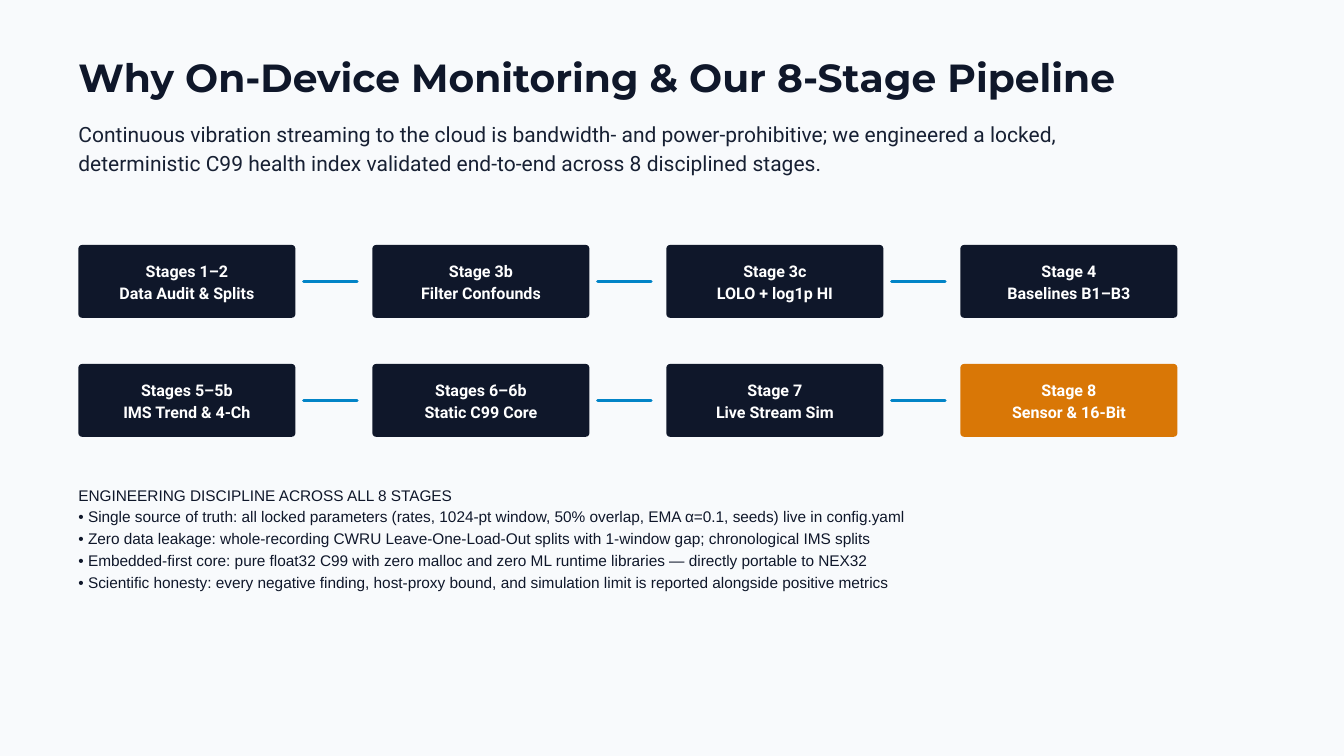
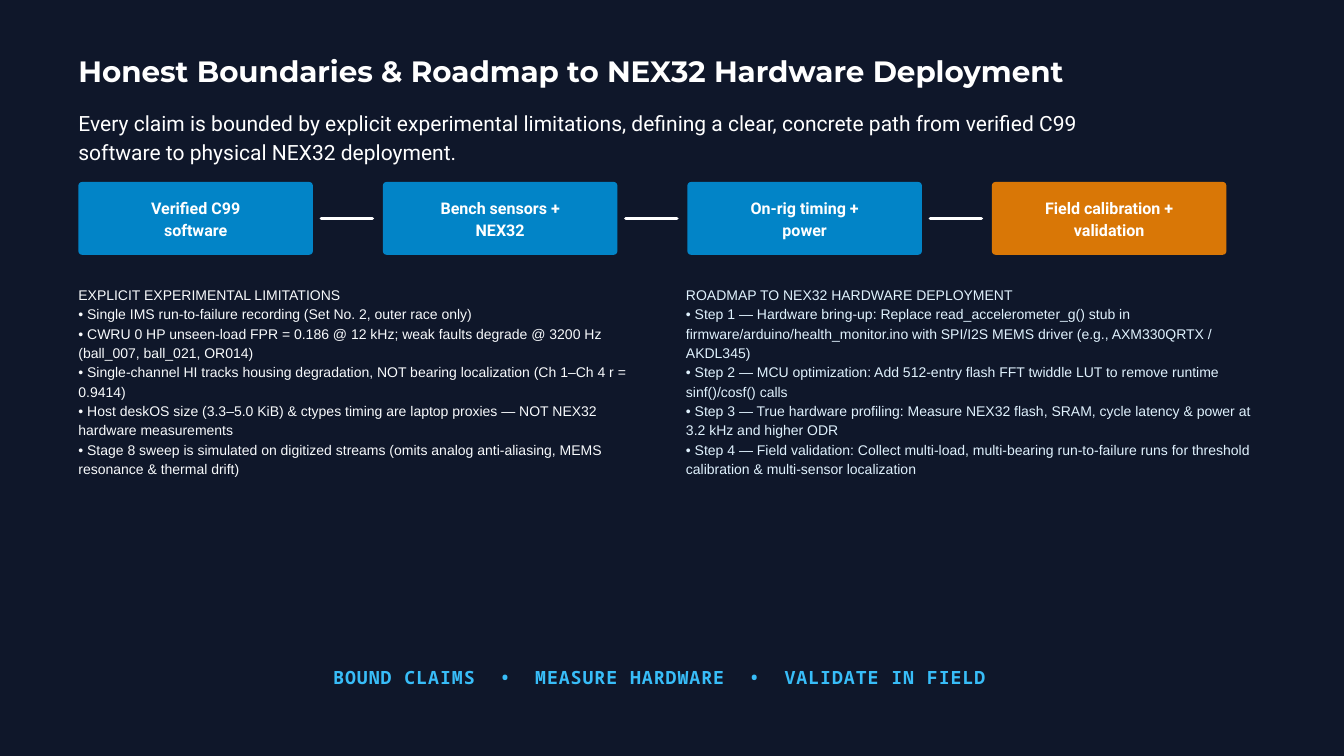
from lxml import etree
from pptx import Presentation
from pptx.dml.color import RGBColor
from pptx.enum.shapes import MSO_CONNECTOR, MSO_SHAPE
from pptx.enum.text import MSO_ANCHOR, MSO_AUTO_SIZE, PP_ALIGN
from pptx.oxml.ns import qn
from pptx.util import Pt

LEFT, CENTER = PP_ALIGN.LEFT, PP_ALIGN.CENTER
MIDDLE = MSO_ANCHOR.MIDDLE
FIT_SHAPE = MSO_AUTO_SIZE.SHAPE_TO_FIT_TEXT
ROUNDED = MSO_SHAPE.ROUNDED_RECTANGLE
STRAIGHT = MSO_CONNECTOR.STRAIGHT

PX = 9525  # 1920 x 1080 px on 20 x 11.25 inches
MARGIN = 112
COLORS = {
    "navy": "0F172A", "ink": "172033", "paper": "F8FAFC", "white": "FFFFFF",
    "blue": "0284C7", "orange": "D97706", "sky": "38BDF8", "ice": "E0F2FE",
}
COLORS = {name: RGBColor.from_string(value) for name, value in COLORS.items()}


def write_lines(frame, lines, font, size, color, spacing, bold=False, align=LEFT):
    """Fill a text frame with one paragraph per line."""
    frame.word_wrap = True
    frame.text = "\n".join(lines)
    for paragraph in frame.paragraphs:
        paragraph.alignment = align
        paragraph.line_spacing = Pt(spacing)
        for run in paragraph.runs:
            run.font.name = font
            run.font.size = Pt(size)
            run.font.bold = bold
            run.font.color.rgb = COLORS[color]


def add_text(slide, x, y, width, height, lines, *style, **options):
    """Add a text box without insets that fits its text."""
    box = slide.shapes.add_textbox(x * PX, y * PX, width * PX, height * PX)
    frame = box.text_frame
    frame.margin_left = frame.margin_right = frame.margin_top = frame.margin_bottom = 0
    write_lines(frame, lines, *style, **options)
    frame.auto_size = FIT_SHAPE
    return frame


prs = Presentation()
prs.slide_width, prs.slide_height = 1920 * PX, 1080 * PX
pipeline, roadmap = [prs.slides.add_slide(prs.slide_layouts[6]) for _ in range(2)]
for slide, background in ((pipeline, "paper"), (roadmap, "navy")):
    slide.background.fill.solid()
    slide.background.fill.fore_color.rgb = COLORS[background]

# Titles and subtitles
add_text(pipeline, MARGIN, 83, 1500, 61,
         ["Why On-Device Monitoring & Our 8-Stage Pipeline"],
         "Montserrat", 42, "navy", 45.4, bold=True)
add_text(pipeline, MARGIN, 168, 1540, 81,
         ["Continuous vibration streaming to the cloud is bandwidth- and power-prohibitive; "
          "we engineered a locked, deterministic C99 health index validated end-to-end "
          "across 8 disciplined stages."],
         "Roboto", 22.5, "ink", 31)
add_text(roadmap, MARGIN, 81, 1420, 47,
         ["Honest Boundaries & Roadmap to NEX32 Hardware Deployment"],
         "Montserrat", 31.5, "white", 34, bold=True)
add_text(roadmap, MARGIN, 152, 1450, 81,
         ["Every claim is bounded by explicit experimental limitations, defining a clear, "
          "concrete path from verified C99 software to physical NEX32 deployment."],
         "Roboto", 22.5, "white", 31)

# Flow rows: slide, top, step width, pitch, link length, step colour, link colour, last colour
STEP_HEIGHT = 104
LINK_GAP = 12
flow_rows = [
    (pipeline, 350, 310, 420, 76, "navy", "blue", "navy",
     [("Stages 1–2", "Data Audit & Splits"), ("Stage 3b", "Filter Confounds"),
      ("Stage 3c", "LOLO + log1p HI"), ("Stage 4", "Baselines B1–B3")]),
    (pipeline, 520, 310, 420, 76, "navy", "blue", "orange",
     [("Stages 5–5b", "IMS Trend & 4-Ch"), ("Stages 6–6b", "Static C99 Core"),
      ("Stage 7", "Live Stream Sim"), ("Stage 8", "Sensor & 16-Bit")]),
    (roadmap, 260, 335, 435, 73, "blue", "white", "orange",
     [("Verified C99", "software"), ("Bench sensors +", "NEX32"),
      ("On-rig timing +", "power"), ("Field calibration +", "validation")]),
]
for slide, top, width, pitch, link_length, step_color, link_color, last_color, steps in flow_rows:
    for i, lines in enumerate(steps):
        left = MARGIN + i * pitch
        is_last = i == len(steps) - 1
        step = slide.shapes.add_shape(ROUNDED, left * PX, top * PX,
                                      width * PX, STEP_HEIGHT * PX)
        step.adjustments[0] = 0.05
        step.shadow.inherit = False
        step.fill.solid()
        step.fill.fore_color.rgb = COLORS[last_color if is_last else step_color]
        step.line.fill.background()
        frame = step.text_frame
        frame.vertical_anchor = MIDDLE
        frame.margin_left = frame.margin_right = frame.margin_top = 6 * PX
        frame.margin_bottom = 9 * PX
        write_lines(frame, lines, "Roboto", 17.2, "white", 24.1, bold=True, align=CENTER)
        if is_last:
            continue
        start = left + width + LINK_GAP
        middle = top + STEP_HEIGHT // 2
        link = slide.shapes.add_connector(STRAIGHT, start * PX, middle * PX,
                                          (start + link_length) * PX, middle * PX)
        link.line.width = Pt(3.75)
        link.line.color.rgb = COLORS[link_color]
        link_properties = link._element.spPr
        link_properties.find(qn("a:ln")).set("cap", "rnd")
        etree.SubElement(link_properties, qn("a:effectLst"))

# Engineering discipline
add_text(pipeline, MARGIN, 689, 1696, 156, [
    "ENGINEERING DISCIPLINE ACROSS ALL 8 STAGES",
    "• Single source of truth: all locked parameters (rates, 1024-pt window, 50% overlap, "
    "EMA α=0.1, seeds) live in config.yaml",
    "• Zero data leakage: whole-recording CWRU Leave-One-Load-Out splits with 1-window gap; "
    "chronological IMS splits",
    "• Embedded-first core: pure float32 C99 with zero malloc and zero ML runtime libraries "
    "— directly portable to NEX32",
    "• Scientific honesty: every negative finding, host-proxy bound, and simulation limit "
    "is reported alongside positive metrics",
], "Arial", 16.5, "navy", 23.4)

# Closing line, with wide spaces around the dots
closing = add_text(roadmap, MARGIN, 946, 1660, 35, [""],
                   "Noto Sans Mono", 19.5, "sky", 27.3, align=CENTER).paragraphs[0]
for token in ("BOUND CLAIMS", " ", "•", " ", "MEASURE HARDWARE", " ", "•", " ",
              "VALIDATE IN FIELD"):
    run = closing.add_run()
    run.text = token
    run.font.name = "Noto Sans Mono"
    run.font.size = Pt(19.5)
    run.font.bold = True
    run.font.color.rgb = COLORS["sky"]
    run._r.get_or_add_rPr().set("spc", "1370" if token == " " else "100")

# Limitations and roadmap columns
add_text(roadmap, MARGIN, 406, 810, 271, [
    "EXPLICIT EXPERIMENTAL LIMITATIONS",
    "• Single IMS run-to-failure recording (Set No. 2, outer race only)",
    "• CWRU 0 HP unseen-load FPR = 0.186 @ 12 kHz; weak faults degrade @ 3200 Hz "
    "(ball_007, ball_021, OR014)",
    "• Single-channel HI tracks housing degradation, NOT bearing localization "
    "(Ch 1–Ch 4 r = 0.9414)",
    "• Host deskOS size (3.3–5.0 KiB) & ctypes timing are laptop proxies — NOT NEX32 "
    "hardware measurements",
    "• Stage 8 sweep is simulated on digitized streams (omits analog anti-aliasing, MEMS "
    "resonance & thermal drift)",
], "Arial", 15, "paper", 20.7)
add_text(roadmap, 980, 406, 828, 271, [
    "ROADMAP TO NEX32 HARDWARE DEPLOYMENT",
    "• Step 1 — Hardware bring-up: Replace read_accelerometer_g() stub in "
    "firmware/arduino/health_monitor.ino with SPI/I2S MEMS driver "
    "(e.g., AXM330QRTX / AKDL345)",
    "• Step 2 — MCU optimization: Add 512-entry flash FFT twiddle LUT to remove runtime "
    "sinf()/cosf() calls",
    "• Step 3 — True hardware profiling: Measure NEX32 flash, SRAM, cycle latency & power "
    "at 3.2 kHz and higher ODR",
    "• Step 4 — Field validation: Collect multi-load, multi-bearing run-to-failure runs for "
    "threshold calibration & multi-sensor localization",
], "Arial", 15, "ice", 20.7)

prs.save("out.pptx")
